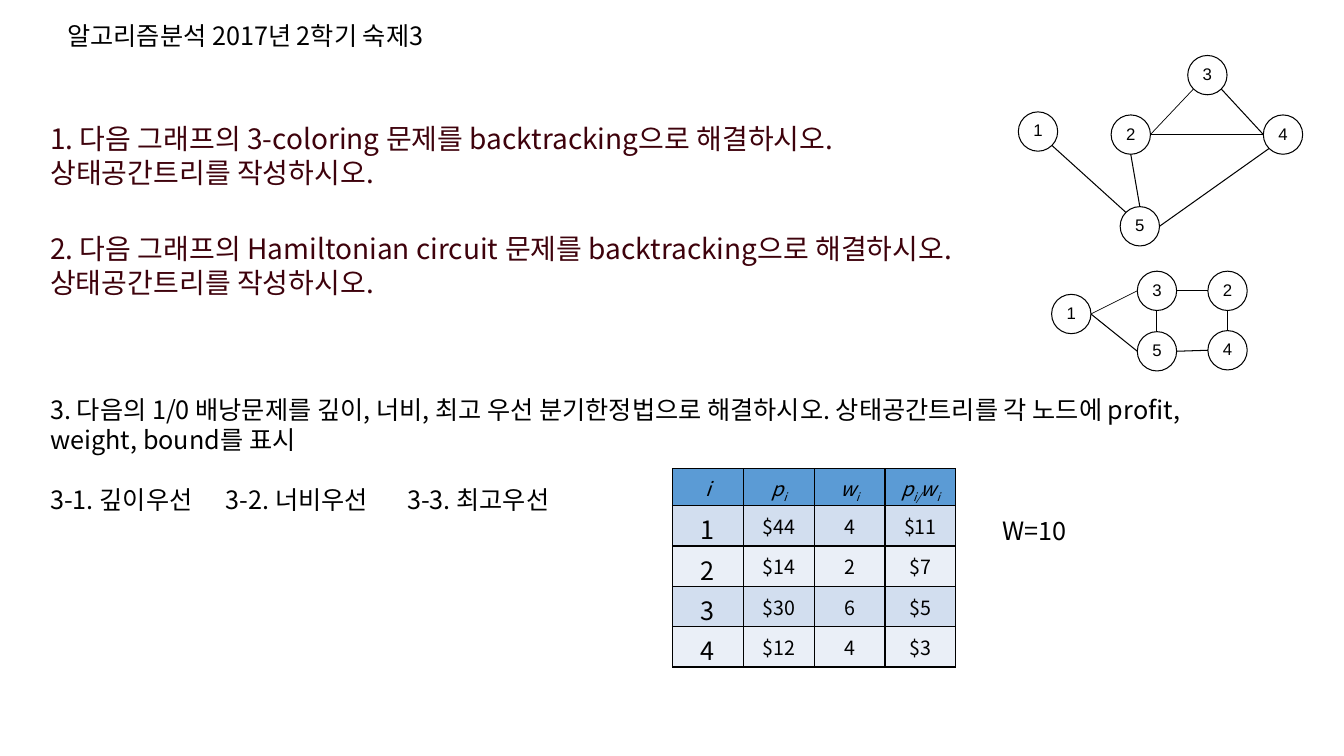
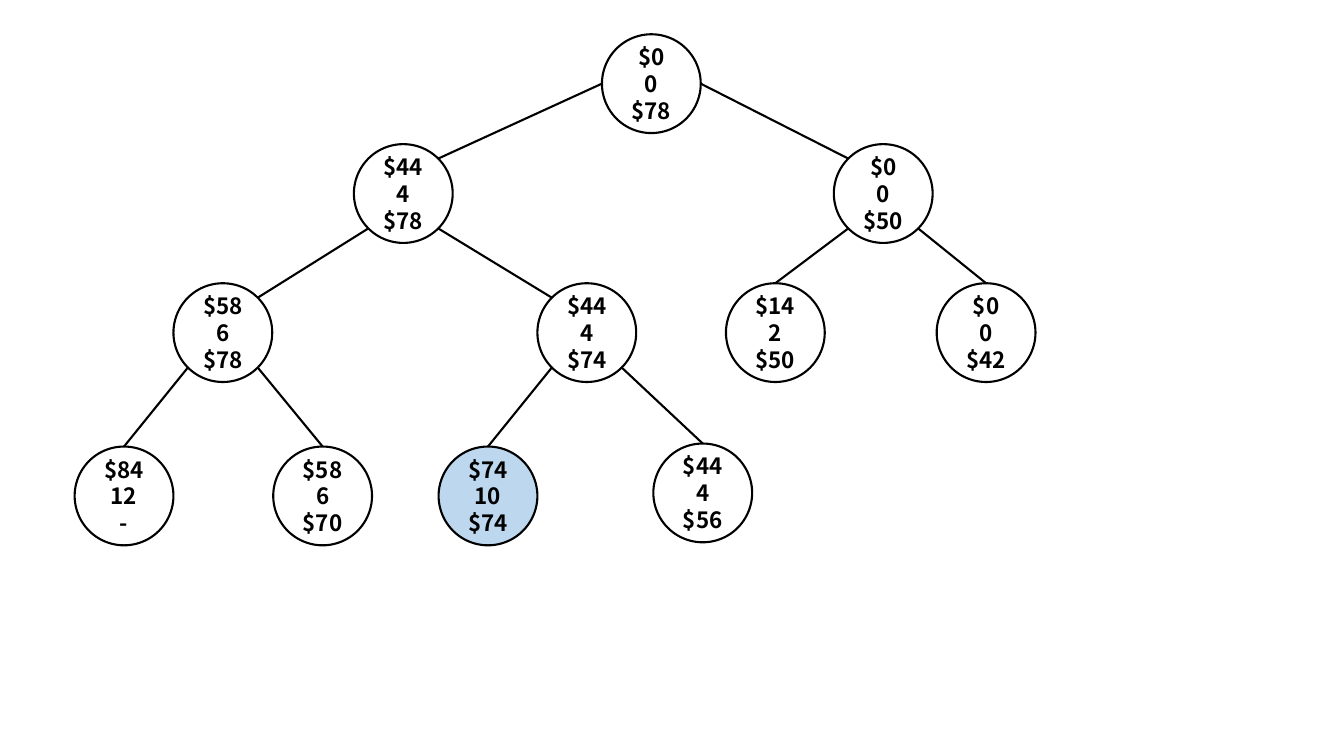
from math import sqrt
from lxml.etree import SubElement
from pptx import Presentation
from pptx.dml.color import RGBColor
from pptx.enum.shapes import MSO_CONNECTOR, MSO_SHAPE
from pptx.enum.text import MSO_ANCHOR, PP_ALIGN
from pptx.oxml.ns import qn
from pptx.util import Inches, Pt

BLACK = RGBColor(0x00, 0x00, 0x00)
WHITE = RGBColor(0xFF, 0xFF, 0xFF)
MAROON = RGBColor(0x3E, 0x02, 0x0C)
HEADER_BLUE = RGBColor(0x5B, 0x9B, 0xD5)
BAND_DARK = RGBColor(0xD2, 0xDE, 0xEF)
BAND_LIGHT = RGBColor(0xEA, 0xEF, 0xF7)
SOLUTION_BLUE = RGBColor(0xBD, 0xD7, 0xEE)
KOREAN = "Noto Sans CJK KR"

# Directions from a circle's centre to the points where edges meet it
D = sqrt(0.5)
COMPASS = {"N": (0, -1), "NE": (D, -D), "E": (1, 0), "SE": (D, D),
           "S": (0, 1), "SW": (-D, D), "W": (-1, 0), "NW": (-D, -D)}


def add_run(paragraph, text, color=BLACK, **font_values):
    run = paragraph.add_run()
    run.text = text
    for name, value in {"name": KOREAN, **font_values}.items():
        setattr(run.font, name, value)
    run.font.color.rgb = color
    SubElement(run._r.get_or_add_rPr(), qn("a:ea"), typeface=run.font.name)
    return run


def add_graph(slide, nodes, edges, size, line_width, spacing, font_values):
    """nodes: name -> (left, top, lines, fill); edges: (start, side, end, side, width)."""
    for left, top, lines, fill in nodes.values():
        circle = slide.shapes.add_shape(MSO_SHAPE.OVAL, Inches(left), Inches(top),
                                        Inches(size), Inches(size))
        circle.shadow.inherit = False
        if fill is None:
            circle.fill.background()
        else:
            circle.fill.solid()
            circle.fill.fore_color.rgb = fill
        circle.line.color.rgb = BLACK
        circle.line.width = Pt(line_width)
        frame = circle.text_frame
        frame.word_wrap = True
        frame.vertical_anchor = MSO_ANCHOR.MIDDLE
        for margin in ("left", "top", "right", "bottom"):
            setattr(frame, f"margin_{margin}", 0)
        for index, line in enumerate(lines):
            paragraph = frame.add_paragraph() if index else frame.paragraphs[0]
            paragraph.alignment = PP_ALIGN.CENTER
            paragraph.line_spacing = spacing
            add_run(paragraph, line, **font_values)

    radius = size / 2
    for start, start_side, end, end_side, width in edges:
        points = []
        for node, side in ((start, start_side), (end, end_side)):
            for corner, direction in zip(nodes[node][:2], COMPASS[side]):
                points.append(Inches(corner + radius + radius * direction))
        edge = slide.shapes.add_connector(MSO_CONNECTOR.STRAIGHT, *points)
        edge.line.color.rgb = BLACK
        edge.line.width = Pt(width)
        SubElement(edge._element.spPr, qn("a:effectLst"))


presentation = Presentation()
presentation.slide_width = Inches(13.33)
presentation.slide_height = Inches(7.5)
blank = presentation.slide_layouts[6]

# Slide 1: the homework questions
homework = presentation.slides.add_slide(blank)

# Graphs for questions 1 and 2
coloring_places = {"1": (10.1, 1.11), "5": (11.11, 2.05), "3": (11.78, 0.55),
                   "2": (11.02, 1.14), "4": (12.53, 1.14)}
coloring_edges = [
    ("1", "SE", "5", "NW", 0.75), ("2", "S", "5", "N", 0.75),
    ("4", "SW", "5", "E", 0.75), ("3", "SE", "4", "W", 0.75),
    ("2", "E", "3", "SW", 0.5), ("2", "E", "4", "W", 0.5)]
circuit_places = {"1": (10.43, 2.92), "3": (11.28, 2.69), "2": (11.98, 2.69),
                  "5": (11.28, 3.29), "4": (11.98, 3.28)}
circuit_edges = [
    ("3", "E", "2", "W", 0.75), ("2", "S", "4", "N", 0.75),
    ("4", "W", "5", "E", 0.75), ("5", "W", "1", "E", 0.75),
    ("3", "S", "5", "N", 0.75), ("1", "E", "3", "W", 0.5)]
for places, edges in ((coloring_places, coloring_edges), (circuit_places, circuit_edges)):
    nodes = {name: (*place, [name], None) for name, place in places.items()}
    add_graph(homework, nodes, edges, 0.39, 0.75, 0.9, {"name": "Arial", "size": Pt(12)})

# Heading and questions: left, top, width, height, size, colour, paragraphs
texts = [
    (0.57, 0.15, 4.5, 0.4, 18, BLACK, ["알고리즘분석 2017년 2학기 숙제3"]),
    (0.4, 1.16, 9.29, 0.77, 20, MAROON,
     ["1. 다음 그래프의 3-coloring 문제를 backtracking으로 해결하시오.",
      "상태공간트리를 작성하시오."]),
    (0.4, 2.25, 10, 0.77, 20, MAROON,
     ["2. 다음 그래프의 Hamiltonian circuit 문제를 backtracking으로 해결하시오.",
      "상태공간트리를 작성하시오."]),
    (0.4, 3.86, 11.55, 1.31, 18, BLACK,
     ["3. 다음의 1/0 배낭문제를 깊이, 너비, 최고 우선 분기한정법으로 해결하시오. "
      "상태공간트리를 각 노드에 profit, weight, bound를 표시",
      "3-1. 깊이우선\t3-2. 너비우선\t3-3. 최고우선"]),
    (9.84, 5.06, 1, 0.4, 18, BLACK, ["W=10"]),
]
for left, top, width, height, size, color, paragraphs in texts:
    frame = homework.shapes.add_textbox(Inches(left), Inches(top), Inches(width),
                                        Inches(height)).text_frame
    frame.word_wrap = True
    for index, text in enumerate(paragraphs):
        paragraph = frame.add_paragraph() if index else frame.paragraphs[0]
        add_run(paragraph, text, color, size=Pt(size))
        if "\t" in text:
            paragraph.space_before = Pt(21.6)
            tabs = SubElement(paragraph._p.get_or_add_pPr(), qn("a:tabLst"))
            for stop in (1.74, 3.54):
                SubElement(tabs, qn("a:tab"), pos=str(Inches(stop)), algn="l")

# Knapsack items; every second part of a header is a subscript
items = [
    [["i"], ["p", "i"], ["w", "i"], ["p", "i/", "w", "i"]],
    [["1"], ["$44"], ["4"], ["$11"]],
    [["2"], ["$14"], ["2"], ["$7"]],
    [["3"], ["$30"], ["6"], ["$5"]],
    [["4"], ["$12"], ["4"], ["$3"]],
]
knapsack = homework.shapes.add_table(5, 4, Inches(6.67), Inches(4.65),
                                     Inches(2.81), Inches(1.96)).table
knapsack.first_row = False
knapsack.horz_banding = False
for column in knapsack.columns:
    column.width = Inches(2.81 / 4)
for row_index, row in enumerate(items):
    is_header = row_index == 0
    knapsack.rows[row_index].height = Inches(0.36 if is_header else 0.4)
    band = HEADER_BLUE if is_header else (BAND_LIGHT, BAND_DARK)[row_index % 2]
    for column_index, parts in enumerate(row):
        cell = knapsack.cell(row_index, column_index)
        cell.vertical_anchor = MSO_ANCHOR.MIDDLE
        paragraph = cell.text_frame.paragraphs[0]
        paragraph.alignment = PP_ALIGN.CENTER
        size = 18 if column_index == 0 and not is_header else 14
        for part_index, part in enumerate(parts):
            run = add_run(paragraph, part, size=Pt(size), italic=is_header)
            if part_index % 2:
                run._r.get_or_add_rPr().set("baseline", "-25000")
        properties = cell._tc.get_or_add_tcPr()
        for side in ("lnL", "lnR", "lnT", "lnB"):
            border = SubElement(properties, qn(f"a:{side}"), w=str(Pt(1)))
            SubElement(SubElement(border, qn("a:solidFill")), qn("a:srgbClr"), val=str(BLACK))
        cell.fill.solid()
        cell.fill.fore_color.rgb = band

# Slide 2: state space tree with profit, weight and bound in each node
answer = presentation.slides.add_slide(blank)
tree_nodes = {
    "root": (5.97, 0.34, ["$0", "0", "$78"], WHITE),
    "1": (3.51, 1.43, ["$44", "4", "$78"], WHITE),
    "0": (8.27, 1.43, ["$0", "0", "$50"], WHITE),
    "11": (1.72, 2.81, ["$58", "6", "$78"], WHITE),
    "10": (5.33, 2.81, ["$44", "4", "$74"], WHITE),
    "01": (7.2, 2.81, ["$14", "2", "$50"], WHITE),
    "00": (9.29, 2.81, ["$0", "0", "$42"], WHITE),
    "111": (0.74, 4.43, ["$84", "12", "-"], WHITE),
    "110": (2.71, 4.43, ["$58", "6", "$70"], WHITE),
    "101": (4.35, 4.43, ["$74", "10", "$74"], SOLUTION_BLUE),
    "100": (6.48, 4.4, ["$44", "4", "$56"], WHITE),
}
tree_edges = [
    ("root", "W", "1", "NE", 1.5), ("root", "E", "0", "NW", 1.5),
    ("1", "SW", "11", "NE", 1.5), ("1", "SE", "10", "NW", 1.5)]
for parent in ("0", "11", "10"):
    tree_edges += [(parent, "SW", parent + "1", "N", 1.5),
                   (parent, "SE", parent + "0", "N", 1.5)]
add_graph(answer, tree_nodes, tree_edges, 0.98, 1.5, 1.0, {"size": Pt(16), "bold": True})

presentation.save("out.pptx")
